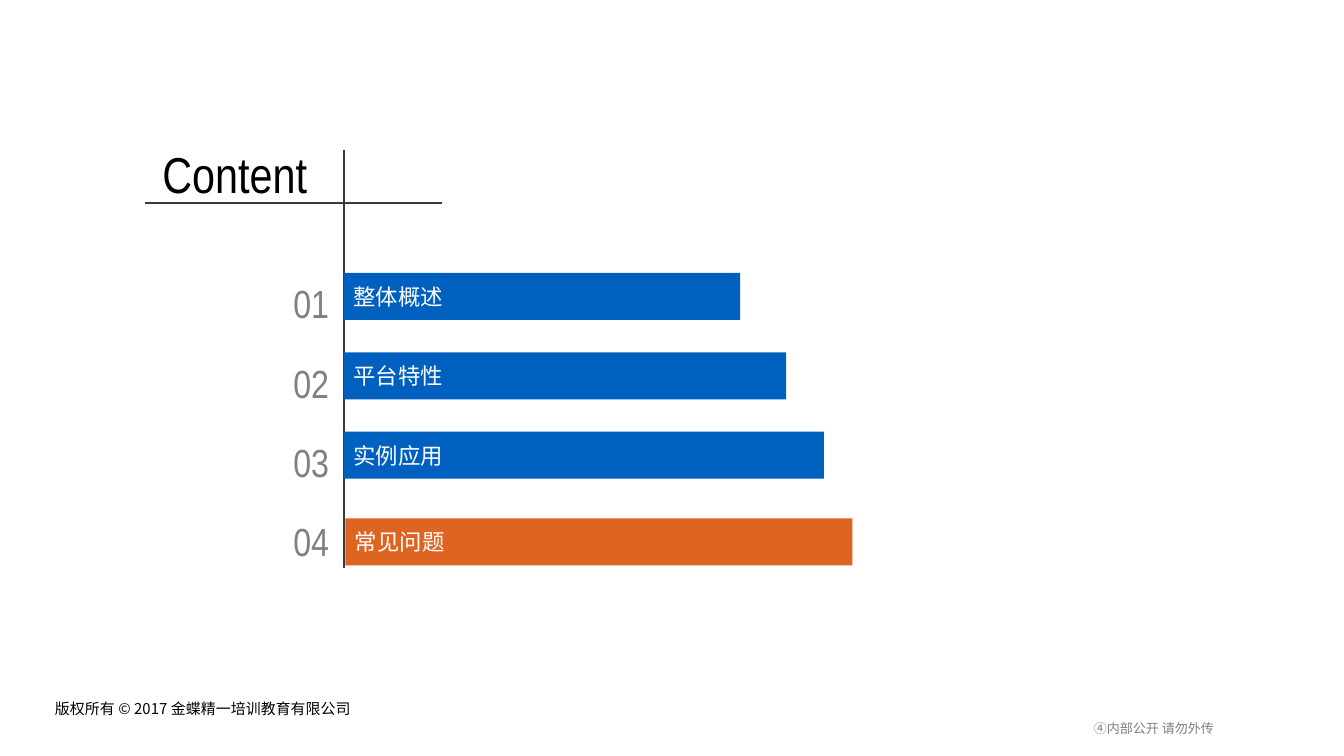
from lxml import etree
from pptx import Presentation
from pptx.dml.color import RGBColor
from pptx.enum.shapes import MSO_CONNECTOR, MSO_SHAPE
from pptx.enum.text import MSO_ANCHOR, MSO_AUTO_SIZE, PP_ALIGN
from pptx.oxml.ns import qn
from pptx.util import Cm, Pt

LEFT, RIGHT = PP_ALIGN.LEFT, PP_ALIGN.RIGHT
TOP, MIDDLE = MSO_ANCHOR.TOP, MSO_ANCHOR.MIDDLE
NO_FIT = MSO_AUTO_SIZE.NONE
RECTANGLE = MSO_SHAPE.RECTANGLE
STRAIGHT = MSO_CONNECTOR.STRAIGHT
TITLE_ONLY = 5

COLORS = {
    "text": "000000",
    "rule": "3A3A3A",
    "number": "808080",
    "notice": "7F7F7F",
    "topic": "0060C0",
    "current": "DF6421",
    "bar_text": "FFFFFF",
}
CJK = "Noto Sans CJK SC"
NARROW = "Arial Narrow"

# Topic, bar width, colour, shift right and down from the row grid (cm)
TOPICS = [
    ("整体概述", 7.49, "topic", 0, 0),
    ("平台特性", 8.36, "topic", 0, 0),
    ("实例应用", 9.07, "topic", 0, 0),
    ("常见问题", 9.58, "current", 0.03, 0.14),
]
ROW_PITCH = 1.5


def rgb(color):
    return RGBColor.from_string(COLORS[color])


def write(shape, text, size, font, color, align=LEFT, anchor=TOP,
          insets=(0.25, 0.13), spacing=None):
    frame = shape.text_frame
    frame.word_wrap = True
    frame.auto_size = NO_FIT
    frame.vertical_anchor = anchor
    frame.margin_left = frame.margin_right = Cm(insets[0])
    frame.margin_top = frame.margin_bottom = Cm(insets[1])
    frame.text = text
    paragraph = frame.paragraphs[0]
    paragraph.alignment = align
    if spacing:
        paragraph.line_spacing = spacing
    paragraph.font.size = Pt(size)
    paragraph.font.name = font
    paragraph.font.color.rgb = rgb(color)


def add_text(slide, box, *args, **kwargs):
    write(slide.shapes.add_textbox(*map(Cm, box)), *args, **kwargs)


def add_rule(slide, x1, y1, x2, y2):
    rule = slide.shapes.add_connector(STRAIGHT, Cm(x1), Cm(y1), Cm(x2), Cm(y2))
    rule.line.color.rgb = rgb("rule")
    rule.line.width = Pt(1)
    properties = rule._element.find(qn("p:spPr"))
    etree.SubElement(properties, qn("a:effectLst"))


def add_heading(slide, left, top, width, height):
    """Title above the crossing rules."""
    title = slide.shapes.title
    title.left, title.top = Cm(left + 0.08), Cm(top)
    title.width, title.height = Cm(5.18), Cm(1.12)
    write(title, "Content", 27, NARROW, "text", spacing=1.0)
    axis = left + 3.76
    add_rule(slide, axis, top + 0.27, axis, top + height)
    add_rule(slide, left, top + 1.27, left + width, top + 1.27)


def add_topic(slide, left, top, number, topic, width, color, right, down):
    """One row: number left of the axis, bar right of it."""
    add_text(slide, (left, top, 1.47, 1.35), f"{number:02d}", 21, NARROW,
             "number", align=RIGHT, spacing=1.2)
    bar = slide.shapes.add_shape(
        RECTANGLE, Cm(left + 1.5 + right), Cm(top + 0.18 + down),
        Cm(width), Cm(0.89))
    bar.shadow.inherit = False
    bar.fill.solid()
    bar.fill.fore_color.rgb = rgb(color)
    bar.line.fill.background()
    write(bar, topic, 12, "Arial", "bar_text", anchor=MIDDLE,
          insets=(0.18, 0.1))


def add_agenda(slide, left, top):
    for row, topic in enumerate(TOPICS):
        add_topic(slide, left, top + row * ROW_PITCH, row + 1, *topic)


def add_footer(slide, left, top):
    """Copyright line and confidentiality notice."""
    style = {"anchor": MIDDLE, "insets": (0.15, 0.03), "spacing": Pt(10.5)}
    add_text(slide, (left, top, 8, 0.69),
             "版权所有 © 2017 金蝶精一培训教育有限公司", 8, CJK, "text", **style)
    add_text(slide, (left + 17.7, top + 0.36, 4.5, 0.69),
             "④内部公开 请勿外传", 7, CJK, "notice", align=RIGHT, **style)


def main():
    deck = Presentation()
    deck.slide_width, deck.slide_height = Cm(25.4), Cm(14.29)
    slide = deck.slides.add_slide(deck.slide_layouts[TITLE_ONLY])
    add_footer(slide, 0.89, 13.03)
    add_heading(slide, 2.74, 2.57, 5.62, 8.17)
    add_agenda(slide, 5, 4.98)
    deck.save("out.pptx")


if __name__ == "__main__":
    main()
